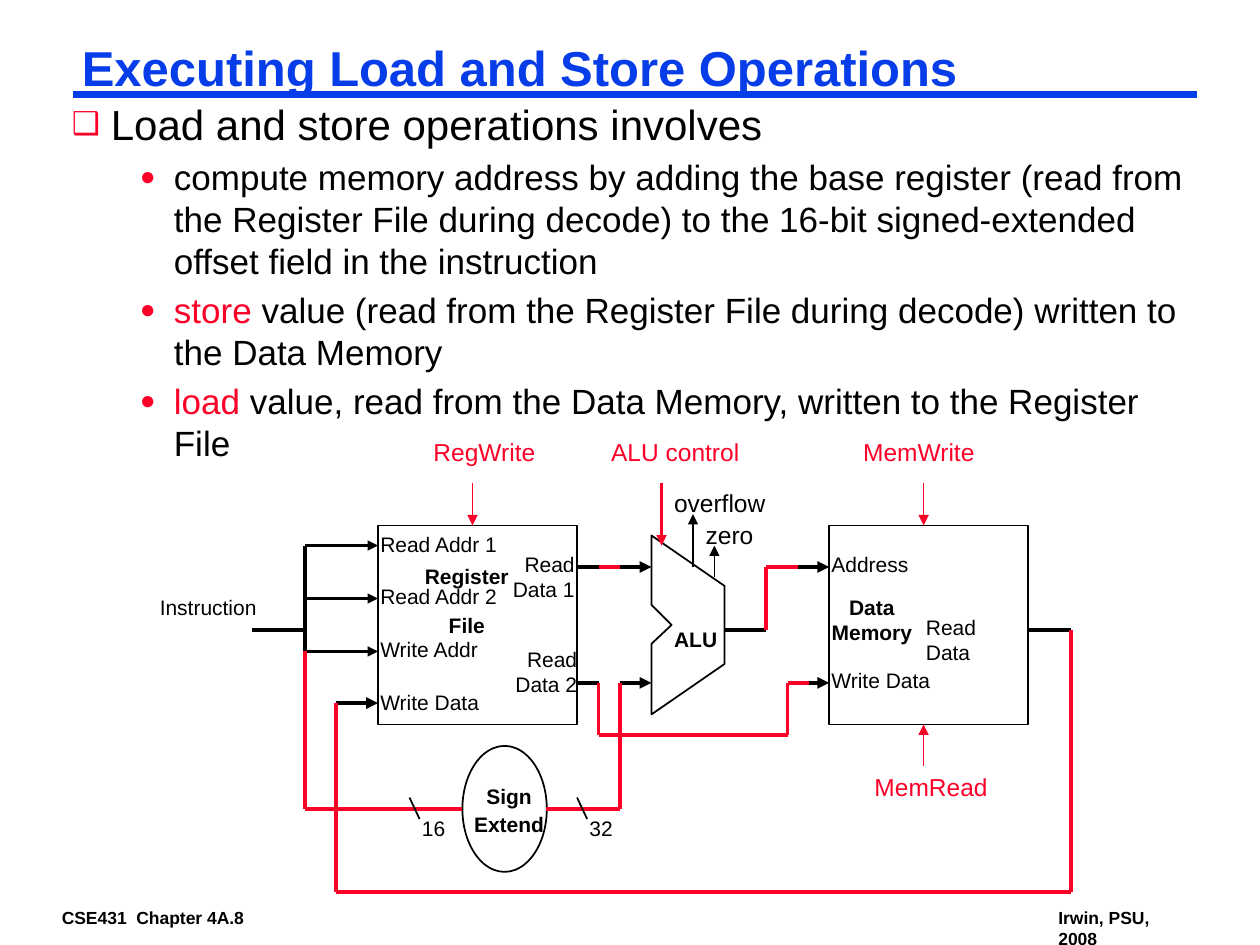
from itertools import pairwise

from lxml import etree
from pptx import Presentation
from pptx.dml.color import RGBColor
from pptx.enum.shapes import MSO_CONNECTOR, MSO_SHAPE
from pptx.enum.text import MSO_ANCHOR, MSO_AUTO_SIZE, PP_ALIGN
from pptx.oxml.ns import qn
from pptx.util import Inches, Pt

LEFT, MID, RIGHT = PP_ALIGN.LEFT, PP_ALIGN.CENTER, PP_ALIGN.RIGHT
TOP = MSO_ANCHOR.TOP
FIXED, GROW = MSO_AUTO_SIZE.NONE, MSO_AUTO_SIZE.SHAPE_TO_FIT_TEXT
STRAIGHT = MSO_CONNECTOR.STRAIGHT
RECT, OVAL = MSO_SHAPE.RECTANGLE, MSO_SHAPE.OVAL
BLACK, RED, BLUE = "000000", "FC0128", "063DE8"
FONT = "Arial"

POINTS = [
    (("Load and store operations involves", BLACK),),
    (("compute memory address by adding the base register (read from the "
      "Register File during decode) to the 16-bit signed-extended offset "
      "field in the instruction", BLACK),),
    (("store", RED), (" value (read from the Register File during decode) "
                      "written to the Data Memory", BLACK)),
    (("load ", RED), ("value, read from the Data Memory, written to the "
                      "Register File", BLACK)),
]

# Block outlines: shape, left, top, width, height
BLOCKS = [
    (RECT, 3, 4.17, 1.58, 1.58),
    (RECT, 6.58, 4.17, 1.58, 1.58),
    (OVAL, 3.67, 5.92, 0.67, 1),
]
ALU = [(5.17, 4.25), (5.17, 4.8), (5.33, 4.96), (5.17, 5.11),
       (5.17, 5.67), (5.75, 5.27), (5.75, 4.65)]

# Port names: text, left, top, width
PORTS = [
    ("Instruction", 1.17, 4.67, 0.97),
    ("Read Addr 1", 2.92, 4.17, 1.13),
    ("Read Addr 2", 2.92, 4.58, 1.13),
    ("Write Addr", 2.92, 5, 0.99),
    ("Write Data", 2.92, 5.42, 0.99),
    ("Address", 6.5, 4.33, 0.81),
    ("Write Data", 6.5, 5.25, 0.99),
    ("Read Data", 7.25, 4.83, 0.99),
    ("16", 3.25, 6.42, 0.39),
    ("32", 4.58, 6.42, 0.39),
]
# Signal names: text, left, top, width, colour
SIGNALS = [
    ("RegWrite", 3.42, 3.42, 1.01, RED),
    ("ALU control", 4.83, 3.42, 1.01, RED),
    ("MemWrite", 6.83, 3.42, 1.01, RED),
    ("MemRead", 6.92, 6.08, 1.01, RED),
    ("overflow", 5.33, 3.83, 1.17, BLACK),
    ("zero", 5.58, 4.08, 0.58, BLACK),
]

# Wires: colour, width, arrow at the end, corner points
WIRES = [
    (BLACK, 2.25, False, [(2, 5), (2.42, 5)]),
    (BLACK, 2.25, False, [(2.42, 4.33), (2.42, 5.17)]),
    *[(BLACK, 1.5, True, [(2.42, y), (3, y)]) for y in (4.33, 4.75, 5.17)],
    (BLACK, 2.25, True, [(2.67, 5.58), (3, 5.58)]),
    (BLACK, 2.25, False, [(5.75, 5), (6.08, 5)]),
    (BLACK, 2.25, False, [(8.17, 5), (8.5, 5)]),
    *[(BLACK, 2.25, False, [(x, 6.42), (x + 0.34, 6.42)])
      for x in (3.33, 4.33)],
    *[(BLACK, 2.25, False, [(4.58, y), (4.75, y)]) for y in (4.5, 5.42)],
    *[(BLACK, 2.25, True, [(x, y), (x + 0.25, y)])
      for x in (4.92, 6.33) for y in (4.5, 5.42)],
    (BLACK, 1, True, [(5.5, 4.5), (5.5, 4.08)]),
    (BLACK, 1, True, [(5.67, 4.58), (5.67, 4.33)]),
    (RED, 1.5, True, [(5.25, 3.83), (5.25, 4.33)]),
    *[(RED, 1, True, [(x, 3.83), (x, 4.17)]) for x in (3.75, 7.33)],
    (RED, 1, True, [(7.33, 6.08), (7.33, 5.75)]),
    (RED, 2.25, False, [(4.75, 4.5), (4.92, 4.5)]),
    (RED, 2.25, False, [(6.08, 5), (6.08, 4.5), (6.33, 4.5)]),
    (RED, 2.25, False, [(4.75, 5.42), (4.75, 5.83), (6.25, 5.83),
                        (6.25, 5.42), (6.42, 5.42)]),
    (RED, 2.25, False, [(2.67, 5.58), (2.67, 7.08), (8.5, 7.08), (8.5, 5)]),
    (RED, 2.25, False, [(2.42, 5.17), (2.42, 6.42), (3.67, 6.42)]),
    (RED, 2.25, False, [(4.33, 6.42), (4.92, 6.42), (4.92, 5.42)]),
    *[(BLACK, 1, False, [(x, 6.33), (x + 0.08, 6.5)]) for x in (3.25, 4.58)],
]


def paint(color, code):
    color.rgb = RGBColor.from_string(code)


def style(font, size, code=BLACK, bold=False):
    font.name, font.size, font.bold = FONT, Pt(size), bold
    paint(font.color, code)


def place(shape, left, top, width, height):
    shape.left, shape.top = Inches(left), Inches(top)
    shape.width, shape.height = Inches(width), Inches(height)


def set_frame(frame, side, edge, wrap, fit):
    frame.margin_left = frame.margin_right = Inches(side)
    frame.margin_top = frame.margin_bottom = Inches(edge)
    frame.vertical_anchor = TOP
    frame.word_wrap, frame.auto_size = wrap, fit


def add_bullet(para, char, left, hang):
    props = para._p.get_or_add_pPr()
    props.set("marL", str(Inches(left)))
    props.set("indent", str(-Inches(hang)))
    tint = etree.SubElement(props, qn("a:buClr"))
    etree.SubElement(tint, qn("a:srgbClr"), val=RED)
    etree.SubElement(props, qn("a:buSzPct"), val="75000")
    etree.SubElement(props, qn("a:buFont"), typeface=FONT)
    etree.SubElement(props, qn("a:buChar"), char=char)


def add_label(slide, text, box, size=12, code=BLACK, bold=False, align=LEFT,
              pad=(0.1, 0.05), pitch=None, gap=0, wrap=False, fit=GROW):
    """Add one paragraph per line of text; pitch and gap are in points."""
    frame = slide.shapes.add_textbox(*map(Inches, box)).text_frame
    set_frame(frame, *pad, wrap, fit)
    for i, line in enumerate(text.split("\n")):
        para = frame.paragraphs[0] if i == 0 else frame.add_paragraph()
        para.text, para.alignment = line, align
        if pitch:
            para.line_spacing = Pt(pitch)
        if i and gap:
            para.space_before = Pt(gap)
        style(para.font, size, code, bold)


def add_line(slide, start, end, code, width, arrow=False):
    line = slide.shapes.add_connector(
        STRAIGHT, *map(Inches, (*start, *end)))
    line.line.width = Pt(width)
    paint(line.line.color, code)
    if arrow:
        etree.SubElement(line.line._get_or_add_ln(), qn("a:tailEnd"),
                         type="triangle")
    etree.SubElement(line._element.spPr, qn("a:effectLst"))


def add_wire(slide, code, width, arrow, spots):
    for start, end in pairwise(spots):
        add_line(slide, start, end, code, width, arrow and end == spots[-1])


def outline(shape):
    shape.shadow.inherit = False
    shape.fill.background()
    shape.line.width = Pt(1)
    paint(shape.line.color, BLACK)


def add_blocks(slide):
    for kind, *box in BLOCKS:
        outline(slide.shapes.add_shape(kind, *map(Inches, box)))
    spots = [(Inches(x), Inches(y)) for x, y in ALU]
    pen = slide.shapes.build_freeform(*spots[0])
    pen.add_line_segments(spots[1:], close=True)
    outline(pen.convert_to_shape())


def add_names(slide):
    for text, *spot in PORTS:
        add_label(slide, text, (*spot, 0.3))
    tight = {"pad": (0.02, 0.03), "fit": FIXED}
    for text, *spot, code in SIGNALS:
        add_label(slide, text, (*spot, 0.33), 14, code, pitch=18, **tight)
    add_label(slide, "Register\nFile", (3.27, 4.42, 0.87, 0.7), bold=True,
              align=MID, gap=14)
    add_label(slide, "Data\nMemory", (6.5, 4.67, 0.84, 0.5), bold=True,
              align=MID)
    add_label(slide, "Read\nData 1", (3.92, 4.33, 0.74, 0.5), align=RIGHT)
    add_label(slide, "Read\nData 2", (3.94, 5.08, 0.74, 0.5), align=RIGHT)
    add_label(slide, "ALU", (5.33, 4.92, 0.55, 0.36), bold=True, pitch=16,
              **tight)
    add_label(slide, "Sign\nExtend", (3.75, 6.17, 0.58, 0.5), bold=True,
              align=MID, pitch=16, **tight)


def fill_title(shape):
    place(shape, 0.58, 0.33, 8.92, 0.46)
    set_frame(shape.text_frame, 0.07, 0.03, True, FIXED)
    para = shape.text_frame.paragraphs[0]
    para.text = "Executing Load and Store Operations"
    para.alignment, para.line_spacing = LEFT, 0.87
    style(para.font, 28, BLUE, True)


def fill_body(shape):
    place(shape, 0.5, 0.75, 9.08, 2.99)
    frame = shape.text_frame
    set_frame(frame, 0.07, 0.03, True, FIXED)
    for i, parts in enumerate(POINTS):
        para = frame.add_paragraph() if i else frame.paragraphs[0]
        para.level = 1 if i else 0
        para.space_before = Pt(4 if i else 0)
        add_bullet(para, *(("●", 0.81, 0.27) if i else ("❑", 0.31, 0.31)))
        style(para.font, 20 if i else 24)
        for text, code in parts:
            run = para.add_run()
            run.text = text
            paint(run.font.color, code)


def main():
    deck = Presentation()
    deck.slide_width, deck.slide_height = Inches(10), Inches(7.5)
    slide = deck.slides.add_slide(deck.slide_layouts[1])
    fill_title(slide.shapes.title)
    fill_body(slide.placeholders[1])
    add_line(slide, (0.58, 0.75), (9.5, 0.75), BLUE, 4.5)
    foot = {"size": 10, "bold": True, "pad": (0.07, 0.03)}
    add_label(slide, "CSE431  Chapter 4A.8", (0.42, 7.17, 1.69, 0.22), **foot)
    add_label(slide, "Irwin, PSU, 2008", (8.33, 7.17, 1.2, 0.39), wrap=True,
              **foot)
    add_blocks(slide)
    add_names(slide)
    for wire in WIRES:
        add_wire(slide, *wire)
    deck.save("out.pptx")


if __name__ == "__main__":
    main()
